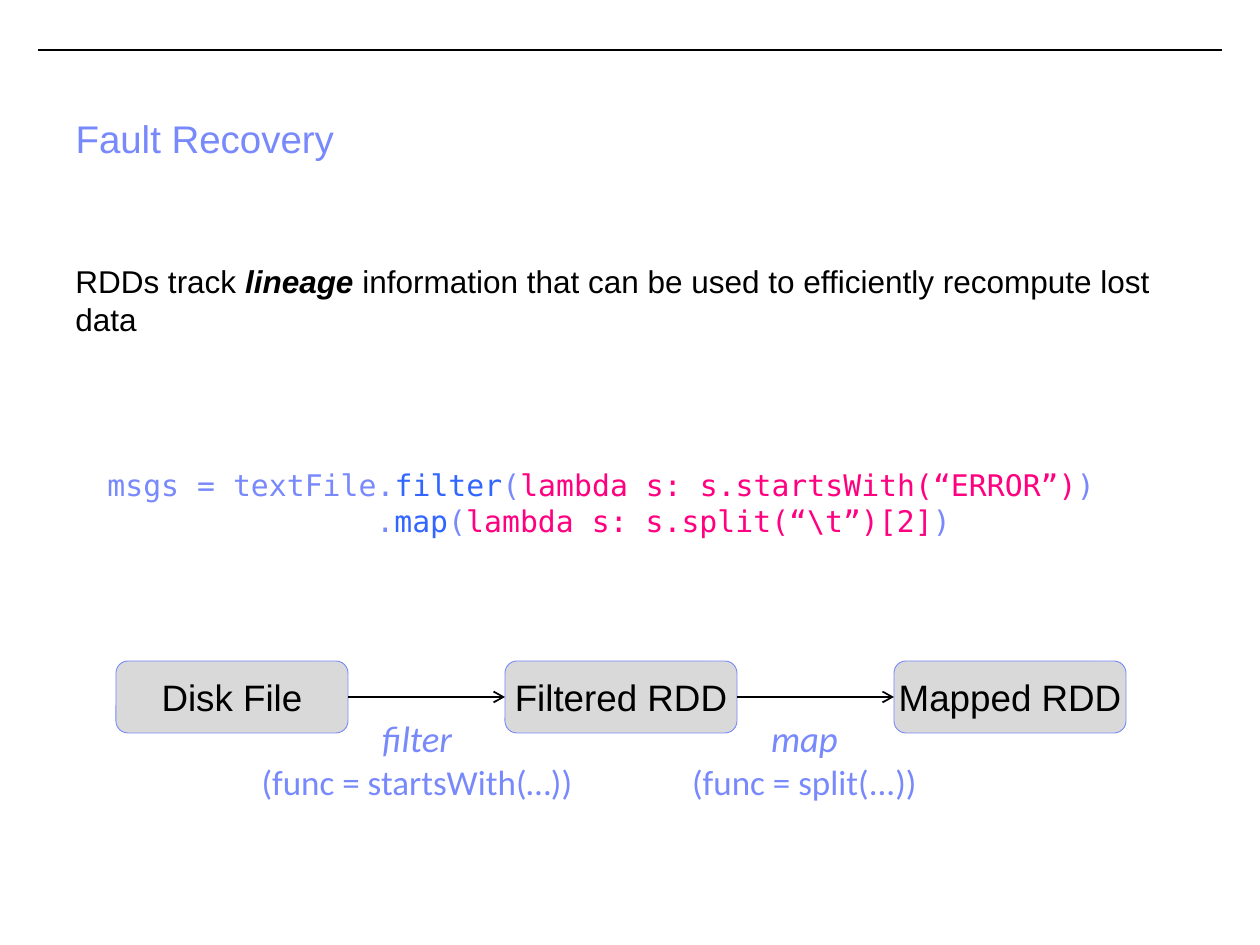
import pptx
import pptx.util
import pptx.dml.color
import pptx.enum.shapes
import pptx.enum.text
import pptx.oxml
import pptx.oxml.ns

RGBColor = pptx.dml.color.RGBColor
Align = pptx.enum.text.PP_ALIGN
Anchor = pptx.enum.text.MSO_ANCHOR
BLACK = RGBColor(0x00, 0x00, 0x00)
LAVENDER = RGBColor(0x78, 0x89, 0xFB)
BLUE = RGBColor(0x33, 0x66, 0xFF)
PINK = RGBColor(0xFF, 0x00, 0x80)
GREY = RGBColor(0xD9, 0xD9, 0xD9)


def px(length):
    return pptx.util.Emu(round(length * 914400 / 126))


class SlideBuilder:
    sans = "Arial"
    label_font = "Calibri"
    mono = "DejaVu Sans Mono"

    def __init__(self, page):
        self.page = page

    def style(self, span, size, font, color, bold=False, italic=False):
        span.font.size = pptx.util.Pt(size)
        span.font.name = font
        span.font.color.rgb = color
        span.font.bold = bold
        span.font.italic = italic

    def add_span(self, para, text, *look, **emphasis):
        span = para.add_run()
        span.text = text
        self.style(span, *look, **emphasis)

    def title(self, text, left, top, width, height):
        box = self.page.shapes.title
        box.left, box.top, box.width, box.height = map(px, (left, top, width, height))
        frame = box.text_frame
        frame.text = text
        frame.vertical_anchor = Anchor.TOP
        para = frame.paragraphs[0]
        para.alignment = Align.LEFT
        para.line_spacing = 0.9
        self.style(para.runs[0], 22, self.sans, LAVENDER)

    def text_box(self, left, top, width, height, wrap=True, grow=True):
        box = self.page.shapes.add_textbox(*map(px, (left, top, width, height)))
        frame = box.text_frame
        frame.word_wrap = wrap
        if grow:
            frame.auto_size = pptx.enum.text.MSO_AUTO_SIZE.SHAPE_TO_FIT_TEXT
        return frame

    def body(self, spans, left, top, width, height):
        para = self.text_box(left, top, width, height, grow=False).paragraphs[0]
        for text, strong in spans:
            self.add_span(para, text, 18, self.sans, BLACK, bold=strong, italic=strong)

    def code(self, lines, left, top, width, height):
        frame = self.text_box(left, top, width, height)
        for number, (indent, spans) in enumerate(lines):
            para = frame.add_paragraph() if number else frame.paragraphs[0]
            para._p.get_or_add_pPr().set("marL", str(px(indent)))
            for text, color in spans:
                self.add_span(para, text, 17, self.mono, color)

    def label(self, name, detail, center, top, width, height):
        frame = self.text_box(center - width // 2, top, width, height, wrap=False)
        para = frame.paragraphs[0]
        para.alignment = Align.CENTER
        self.add_span(para, name, 21, self.label_font, LAVENDER, italic=True)
        para.add_line_break()
        self.add_span(para, detail, 20, self.label_font, LAVENDER)

    def dataset(self, text, left, top, width, height):
        box = self.page.shapes.add_shape(
            pptx.enum.shapes.MSO_SHAPE.ROUNDED_RECTANGLE,
            *map(px, (left, top, width, height)))
        box.shadow.inherit = False
        box.fill.solid()
        box.fill.fore_color.rgb = GREY
        box.line.color.rgb = LAVENDER
        box.line.width = pptx.util.Pt(0.5)
        frame = box.text_frame
        frame.text = text
        frame.word_wrap = True
        frame.vertical_anchor = Anchor.MIDDLE
        frame.margin_left = frame.margin_right = 0
        para = frame.paragraphs[0]
        para.alignment = Align.CENTER
        self.style(para.runs[0], 21, self.sans, BLACK)
        return box

    def line(self, start_x, start_y, end_x, end_y, weight):
        line = self.page.shapes.add_connector(
            pptx.enum.shapes.MSO_CONNECTOR.STRAIGHT,
            *map(px, (start_x, start_y, end_x, end_y)))
        line.line.color.rgb = BLACK
        line.line.width = pptx.util.Pt(weight)
        line._element.spPr.append(pptx.oxml.parse_xml(
            f'<a:effectLst {pptx.oxml.ns.nsdecls("a")}/>'))
        return line

    def arrow(self, source, target):
        arrow = self.line(0, 0, 0, 0, 1)
        arrow.begin_connect(source, 3)
        arrow.end_connect(target, 1)
        arrow.get_or_add_ln().append(pptx.oxml.parse_xml(
            f'<a:tailEnd {pptx.oxml.ns.nsdecls("a")} type="arrow"/>'))


def main():
    deck = pptx.Presentation()
    deck.slide_width, deck.slide_height = px(1260), px(945)
    page = deck.slides.add_slide(deck.slide_layouts[5])
    builder = SlideBuilder(page)

    builder.line(38, 50, 1222, 50, 0.75)
    builder.title("Fault Recovery", 63, 114, 1134, 131)
    builder.body([
        ("RDDs track ", False),
        ("lineage", True),
        (" information that can be used to efficiently recompute lost data", False),
    ], 63, 256, 1144, 479)
    builder.code([
        (0, [("msgs = textFile.", LAVENDER), ("filter", BLUE), ("(", LAVENDER),
             ("lambda s: s.startsWith(“ERROR”)", PINK), (")", LAVENDER)]),
        (269, [(".", LAVENDER), ("map", BLUE), ("(", LAVENDER),
               ("lambda s: s.split(“\\t”)[2]", PINK), (")", LAVENDER)]),
    ], 95, 461, 1067, 84)

    datasets = [builder.dataset(name, 116 + 389 * column, 661, 232, 72)
                for column, name in enumerate(("Disk File", "Filtered RDD", "Mapped RDD"))]
    for source, target in zip(datasets, datasets[1:]):
        builder.arrow(source, target)
    labels = [("filter", "(func = startsWith(…))", 344), ("map", "(func = split(...))", 253)]
    for column, (name, detail, width) in enumerate(labels):
        builder.label(name, detail, 417 + 387 * column, 710, width, 100)

    deck.save("out.pptx")


if __name__ == "__main__":
    main()
